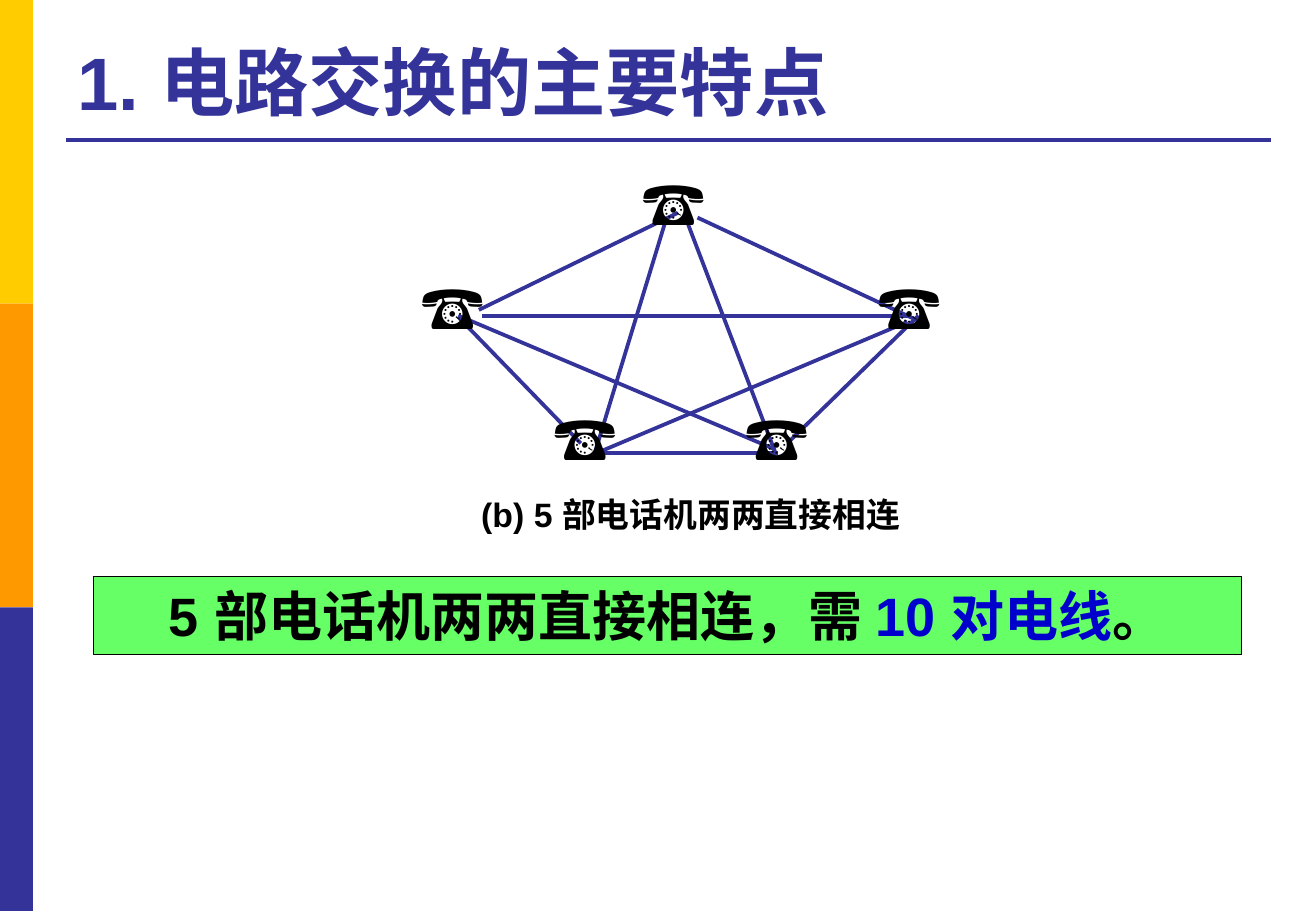
from dataclasses import dataclass

from lxml import etree
from pptx import Presentation
from pptx.dml.color import RGBColor
from pptx.enum.shapes import MSO_CONNECTOR, MSO_SHAPE
from pptx.enum.text import MSO_ANCHOR, PP_ALIGN
from pptx.oxml.ns import qn
from pptx.util import Cm, Pt

RECT = MSO_SHAPE.RECTANGLE
STRAIGHT = MSO_CONNECTOR.STRAIGHT
TOP, BOTTOM = MSO_ANCHOR.TOP, MSO_ANCHOR.BOTTOM
LEFT, CENTER = PP_ALIGN.LEFT, PP_ALIGN.CENTER


@dataclass(frozen=True)
class Theme:
    yellow: str = "FFCC00"
    orange: str = "FF9900"
    indigo: str = "333399"
    green: str = "66FF66"
    blue: str = "0000CC"
    black: str = "000000"
    font: str = "Arial"
    phone_font: str = "Times New Roman"
    title: float = 44
    answer: float = 32
    caption: float = 20
    phone: float = 36
    rule: float = 2.25
    border: float = 0.75


THEME = Theme()

# Positions inside the network figure, in cm
PHONES = [(4.62, 0), (0, 2.16), (9.55, 2.16), (6.78, 4.9), (2.77, 4.9)]
WIRES = [
    ((1.45, 3.15), (5.61, 1.12)),
    ((6.02, 1.22), (10.64, 3.38)),
    ((1.02, 3.3), (3.58, 5.94)),
    ((3.94, 6.14), (7.7, 6.14)),
    ((7.95, 5.89), (10.64, 3.27)),
    ((5.77, 1.22), (7.65, 6.14)),
    ((5.36, 1.27), (3.89, 6.09)),
    ((1.52, 3.27), (10.49, 3.27)),
    ((1.02, 3.27), (7.65, 6.07)),
    ((4.04, 6.09), (10.41, 3.4)),
]


def rgb(color):
    return RGBColor.from_string(color)


def add_rect(s, x, y, w, h, fill, border=None):
    sp = s.shapes.add_shape(RECT, Cm(x), Cm(y), Cm(w), Cm(h))
    sp.shadow.inherit = False
    sp.fill.solid()
    sp.fill.fore_color.rgb = rgb(fill)
    if border:
        sp.line.color.rgb = rgb(border)
        sp.line.width = Pt(THEME.border)
    else:
        sp.line.fill.background()
    return sp


def add_line(s, x1, y1, x2, y2):
    line = s.shapes.add_connector(STRAIGHT, Cm(x1), Cm(y1), Cm(x2), Cm(y2))
    line.line.color.rgb = rgb(THEME.indigo)
    line.line.width = Pt(THEME.rule)
    etree.SubElement(line._element.spPr, qn("a:effectLst"))


def write(sp, runs, size, align=LEFT, anchor=TOP, font=THEME.font, bold=True, wrap=True):
    """Fill a shape with one paragraph of (text, colour) runs."""
    tf = sp.text_frame
    tf.word_wrap = wrap
    tf.vertical_anchor = anchor
    p = tf.paragraphs[0]
    p.alignment = align
    p.font.name = font
    p.font.size = Pt(size)
    p.font.bold = bold
    for text, color in runs:
        r = p.add_run()
        r.text = text
        r.font.color.rgb = rgb(color)


def add_text(s, x, y, w, h, text, color, size, **style):
    sp = s.shapes.add_textbox(Cm(x), Cm(y), Cm(w), Cm(h))
    write(sp, [(text, color)], size, **style)


def side_band(s, x, y, w, h):
    colors = (THEME.yellow, THEME.orange, THEME.indigo)
    step = h / len(colors)
    for i, color in enumerate(colors):
        add_rect(s, x, y + i * step, w, step, color)


def heading(s, x, y, w, h):
    add_line(s, x, y + h, x + w, y + h)
    add_text(s, x, y, w, h - 0.18, "1. 电路交换的主要特点", THEME.indigo,
             THEME.title, anchor=BOTTOM)


def phone_network(s, x, y, w):
    """Five phones wired in pairs, with the caption below."""
    for (x1, y1), (x2, y2) in WIRES:
        add_line(s, x + x1, y + y1, x + x2, y + y2)
    for px, py in PHONES:
        add_text(s, x + px, y + py, 2.21, 1.8, "☎", THEME.black, THEME.phone,
                 font=THEME.phone_font, bold=False, wrap=False)
    add_text(s, x + 0.9, y + 6.88, w - 1.8, 1.12, "(b) 5 部电话机两两直接相连",
             THEME.black, THEME.caption, align=CENTER)


def answer_bar(s, x, y, w, h):
    bar = add_rect(s, x, y, w, h, THEME.green, THEME.black)
    runs = [("5 部电话机两两直接相连，需 ", THEME.black),
            ("10 对电线", THEME.blue),
            ("。", THEME.black)]
    write(bar, runs, THEME.answer, align=CENTER)


def main():
    prs = Presentation()
    prs.slide_width, prs.slide_height = Cm(27.51), Cm(19.05)
    s = prs.slides.add_slide(prs.slide_layouts[6])
    side_band(s, 0, 0, 0.69, 19.05)
    heading(s, 1.37, 0.53, 25.2, 2.39)
    answer_bar(s, 1.96, 12.06, 24, 1.63)
    phone_network(s, 8.56, 3.33, 11.76)
    prs.save("out.pptx")


if __name__ == "__main__":
    main()
